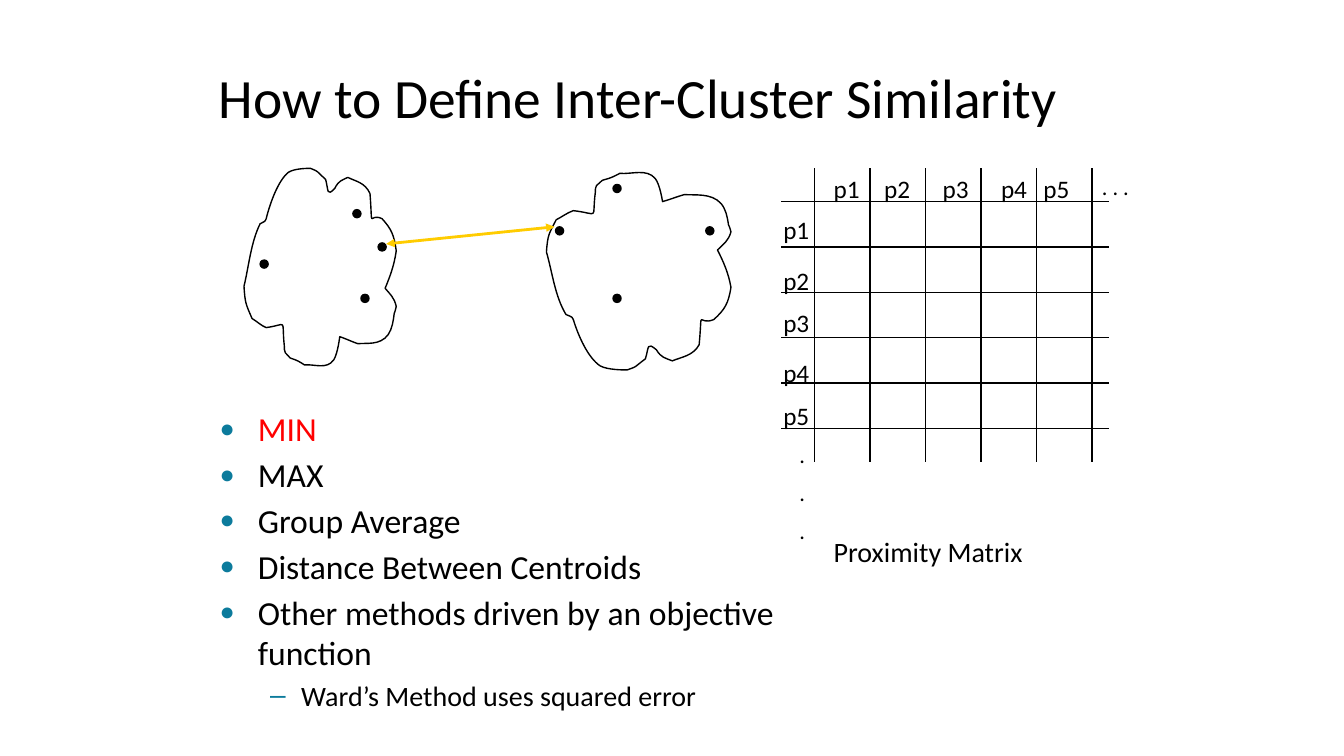
from lxml import etree
from pptx import Presentation
from pptx.dml.color import RGBColor
from pptx.enum.shapes import MSO_CONNECTOR as CONN, MSO_SHAPE as SHAPE
from pptx.enum.text import MSO_ANCHOR as ANCHOR, MSO_AUTO_SIZE as AUTO, PP_ALIGN as ALIGN
from pptx.oxml.ns import qn
from pptx.util import Inches, Pt

BLACK, RED, TEAL, GOLD = "000000", "FF0000", "0C7B9C", "FFCC00"

# Cluster outline in inches: start point, then (control, control, end) per curve.
OUTLINE_W, OUTLINE_H = 1.51, 2
OUTLINE_START = (0.16, 0.55)
OUTLINE_CURVES = [
    (0.07, 0.73, 0.05, 0.96, 0, 1.17), (0.01, 1.34, 0.02, 1.35, 0.08, 1.49),
    (0.13, 1.52, 0.17, 1.56, 0.22, 1.58), (0.44, 1.55, 0.37, 1.48, 0.4, 1.76),
    (0.4, 1.79, 0.4, 1.81, 0.41, 1.83), (0.48, 1.9, 0.43, 1.87, 0.51, 1.9),
    (0.54, 1.91, 0.6, 1.95, 0.6, 1.95), (0.7, 1.94, 0.82, 2, 0.89, 1.9),
    (0.93, 1.84, 0.95, 1.67, 0.95, 1.67), (1.01, 1.69, 1.07, 1.72, 1.13, 1.74),
    (1.21, 1.73, 1.35, 1.76, 1.43, 1.65), (1.47, 1.59, 1.48, 1.52, 1.49, 1.44),
    (1.5, 1.42, 1.51, 1.37, 1.51, 1.37), (1.49, 1.28, 1.45, 1.25, 1.4, 1.19),
    (1.45, 1.07, 1.49, 0.96, 1.51, 0.82), (1.49, 0.66, 1.46, 0.6, 1.37, 0.5),
    (1.23, 0.43, 1.28, 0.65, 1.25, 0.25), (1.2, 0.14, 1.11, 0.13, 1.03, 0.09),
    (0.97, 0.12, 0.94, 0.12, 0.9, 0.2), (0.82, 0.28, 0.84, 0.23, 0.81, 0.11),
    (0.7, 0.01, 0.75, 0.04, 0.66, 0), (0.63, 0, 0.5, 0, 0.44, 0.04),
    (0.34, 0.12, 0.26, 0.34, 0.22, 0.5), (0.21, 0.54, 0.18, 0.53, 0.16, 0.55),
]


def rgb(hex_color):
    return RGBColor.from_string(hex_color)


def write(p, text, size=18, color=BLACK):
    r = p.add_run()
    r.text = text
    r.font.name, r.font.size = "Calibri", Pt(size)
    r.font.color.rgb = rgb(color)


def add_text(shapes, box, lines, gap=0, **fmt):
    tb = shapes.add_textbox(*map(Inches, box))
    tf = tb.text_frame
    tf.word_wrap, tf.auto_size = True, AUTO.SHAPE_TO_FIT_TEXT
    for i, line in enumerate(lines):
        p = tf.add_paragraph() if i else tf.paragraphs[0]
        p.space_before = Pt(gap if i else 0)
        write(p, line, **fmt)


def add_line(shapes, start, end, color=BLACK, width=1, arrows=False):
    cx = shapes.add_connector(CONN.STRAIGHT, *map(Inches, start + end))
    cx.line.color.rgb, cx.line.width = rgb(color), Pt(width)
    if arrows:
        ln = cx.line._get_or_add_ln()
        for tag in ("a:headEnd", "a:tailEnd"):
            etree.SubElement(ln, qn(tag)).set("type", "triangle")
    etree.SubElement(cx._element.spPr, qn("a:effectLst"))


def add_title(s, box, text):
    sp = s.shapes.title
    sp.left, sp.top, sp.width, sp.height = map(Inches, box)
    tf = sp.text_frame
    tf.word_wrap, tf.auto_size, tf.vertical_anchor = True, AUTO.NONE, ANCHOR.MIDDLE
    p = tf.paragraphs[0]
    p.alignment, p.line_spacing = ALIGN.LEFT, 0.9
    write(p, text, size=39.6)


def add_matrix(s, box):
    """Open proximity grid with row and column labels."""
    x, y, w, h = box
    shapes = s.shapes.add_group_shape().shapes
    for i in range(6):
        col, row = x + 0.33 + 0.55 * i, y + 0.33 + 0.45 * i
        add_line(shapes, (col, y), (col, y + h))
        add_line(shapes, (x, row), (x + w, row))
    col_offsets = (0.42, 0.92, 1.5, 2.08, 2.5)
    row_offsets = (0.41, 0.91, 1.33, 1.83, 2.25)
    for n, (dx, dy) in enumerate(zip(col_offsets, row_offsets), 1):
        add_text(shapes, (x + dx, y, 0.58, 0.4), [f"p{n}"])
        add_text(shapes, (x - 0.08, y + dy, 0.58, 0.4), [f"p{n}"])
    add_text(shapes, (x + 3.08, y, 0.58, 0.37), [". . ."], size=16)
    add_text(shapes, (x + 0.08, y + 2.66, 0.58, 1.17), [".", ".", "."], gap=8, size=16)
    add_text(s.shapes, (x + 0.42, y + 3.58, 2.75, 0.43), ["Proximity Matrix"], size=20)


def bend_segments(sp, curves):
    """Turn each straight segment into a Bézier curve through slide points."""
    for seg, curve in zip(list(sp._element.iter(qn("a:lnTo"))), curves):
        bezier = etree.Element(qn("a:cubicBezTo"))
        for px, py in curve:
            pt = etree.SubElement(bezier, qn("a:pt"))
            pt.set("x", str(px - sp.left))
            pt.set("y", str(py - sp.top))
        seg.getparent().replace(seg, bezier)


def add_cluster(s, box, points, flipped=False):
    """Outline scaled to the box, with points as offsets of the dots in it."""
    x, y, w, h = box

    def place(px, py):
        fy = py / OUTLINE_H
        return Inches(x + w * px / OUTLINE_W), Inches(y + h * (1 - fy if flipped else fy))

    curves = [[place(*c[i:i + 2]) for i in (0, 2, 4)] for c in OUTLINE_CURVES]
    fb = s.shapes.build_freeform(*place(*OUTLINE_START), scale=1.0)
    fb.add_line_segments([curve[-1] for curve in curves], close=True)
    sp = fb.convert_to_shape()
    bend_segments(sp, curves)
    sp.shadow.inherit = False
    sp.fill.background()
    sp.line.color.rgb, sp.line.width = rgb(BLACK), Pt(1)
    for dx, dy in points:
        dot = s.shapes.add_shape(SHAPE.OVAL, *map(Inches, (x + dx, y + dy, 0.08, 0.08)))
        dot.shadow.inherit = False
        dot.fill.solid()
        dot.fill.fore_color.rgb = dot.line.color.rgb = rgb(BLACK)
        dot.line.width = Pt(1)


def set_bullet(p, char, left, hang, percent):
    pPr = p._p.get_or_add_pPr()
    pPr.set("marL", str(Inches(left)))
    pPr.set("indent", str(-Inches(hang)))
    color = etree.SubElement(pPr, qn("a:buClr"))
    etree.SubElement(color, qn("a:srgbClr")).set("val", TEAL)
    etree.SubElement(pPr, qn("a:buSzPct")).set("val", str(percent * 1000))
    etree.SubElement(pPr, qn("a:buFont")).set("typeface", "Arial")
    etree.SubElement(pPr, qn("a:buChar")).set("char", char)


def add_methods(s, box, methods):
    """Bulleted list of (text, level, color)."""
    tf = s.shapes.add_textbox(*map(Inches, box)).text_frame
    tf.word_wrap = True
    for i, (text, level, color) in enumerate(methods):
        p = tf.add_paragraph() if i else tf.paragraphs[0]
        p.level = level
        p.space_before, p.space_after = Pt(2 if i else 0), Pt(2)
        if level:
            set_bullet(p, "–", 0.81, 0.31, 100)
        else:
            set_bullet(p, "●", 0.38, 0.38, 75)
        write(p, text, size=20 if level else 24, color=color)


def main():
    prs = Presentation()
    prs.slide_width, prs.slide_height = Inches(13.33), Inches(7.5)
    s = prs.slides.add_slide(prs.slide_layouts[5])
    add_title(s, (2.07, 0.5, 9.06, 1), "How to Define Inter-Cluster Similarity")
    add_matrix(s, (7.75, 1.67, 3.25, 2.91))
    add_cluster(s, (2.42, 1.67, 1.51, 2),
                [(1.16, 1.25), (1.08, 0.41), (0.16, 0.91), (1.33, 0.74)])
    add_cluster(s, (5.42, 1.67, 1.83, 2),
                [(1.58, 0.58), (0.09, 0.58), (0.66, 1.25), (0.66, 0.16)], flipped=True)
    add_line(s.shapes, (3.83, 2.42), (5.5, 2.25), color=GOLD, width=2, arrows=True)
    add_methods(s, (2.08, 4, 6.33, 3.42), [
        ("MIN", 0, RED),
        ("MAX", 0, BLACK),
        ("Group Average", 0, BLACK),
        ("Distance Between Centroids", 0, BLACK),
        ("Other methods driven by an objective function", 0, BLACK),
        ("Ward’s Method uses squared error", 1, BLACK),
    ])
    prs.save("out.pptx")


if __name__ == "__main__":
    main()
